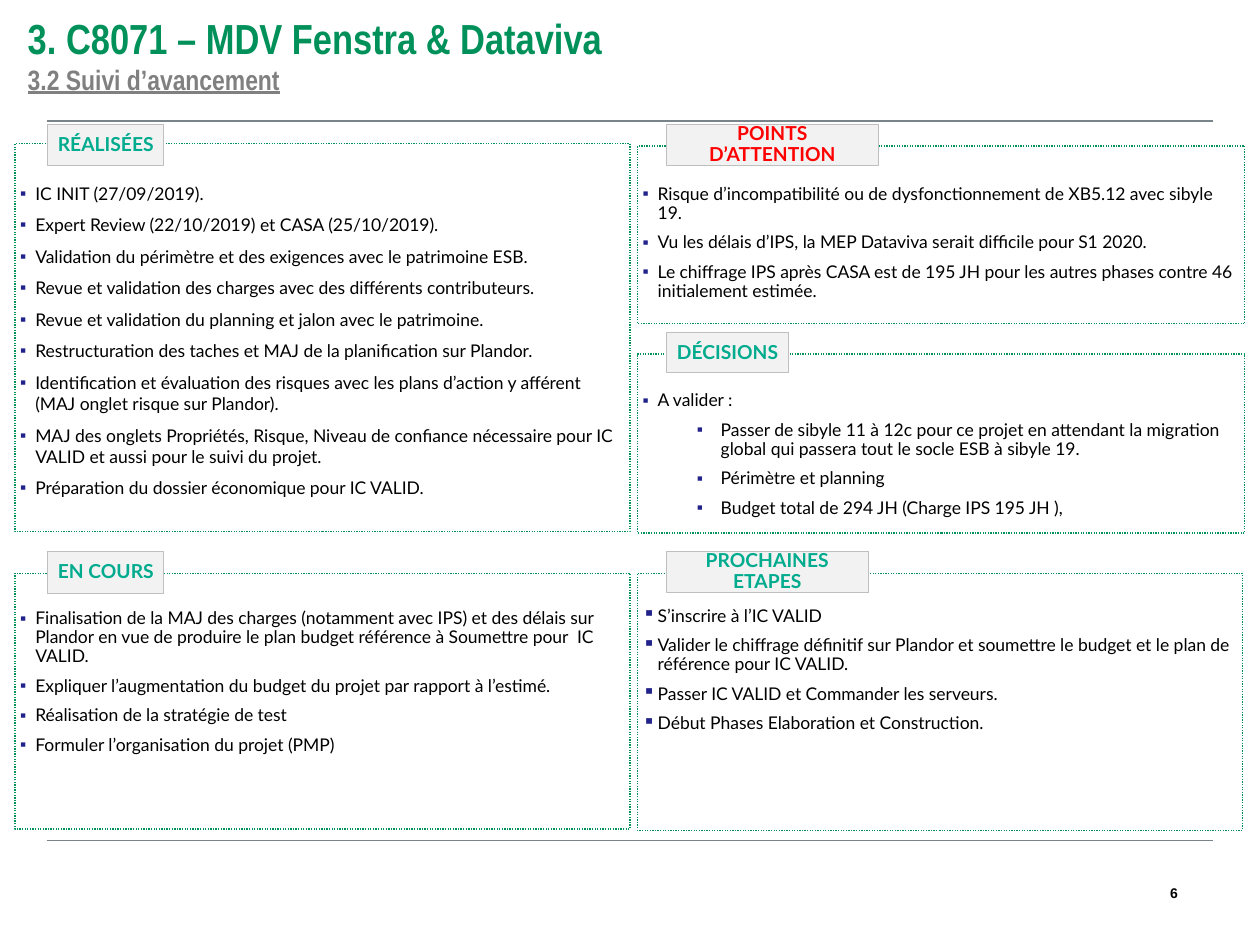
from lxml import etree
from pptx import Presentation
from pptx.dml.color import RGBColor
from pptx.enum.dml import MSO_LINE
from pptx.enum.shapes import MSO_CONNECTOR, MSO_SHAPE
from pptx.enum.text import MSO_ANCHOR, MSO_AUTO_SIZE, PP_ALIGN
from pptx.oxml.ns import qn
from pptx.util import Inches, Pt

LEFT, MID, RIGHT = PP_ALIGN.LEFT, PP_ALIGN.CENTER, PP_ALIGN.RIGHT
TOP, HALF = MSO_ANCHOR.TOP, MSO_ANCHOR.MIDDLE
DOTS, FIXED = MSO_LINE.ROUND_DOT, MSO_AUTO_SIZE.NONE
RECT, LINE = MSO_SHAPE.RECTANGLE, MSO_CONNECTOR.STRAIGHT

GREEN = RGBColor(0x00, 0x91, 0x5A)
TEAL = RGBColor(0x00, 0xAB, 0x8E)
RED = RGBColor(0xFF, 0x00, 0x00)
BLACK = RGBColor(0x00, 0x00, 0x00)
WHITE = RGBColor(0xFF, 0xFF, 0xFF)
GREY = RGBColor(0x80, 0x80, 0x80)
SLATE = RGBColor(0x78, 0x84, 0x8A)
PALE = RGBColor(0xF2, 0xF2, 0xF2)
EDGE = RGBColor(0xBF, 0xBF, 0xBF)

# Font formats
HEAD = dict(name="Arial Narrow", size=Pt(24), bold=True, color=GREEN)
SUB = dict(HEAD, size=Pt(16), underline=True, color=GREY)
BODY = dict(name="Lato", size=Pt(10), bold=False, color=BLACK)
TAG = dict(name="Lato", size=Pt(11), bold=True, color=TEAL)
PAGE = dict(name="Arial", size=Pt(8), bold=True, color=BLACK)


class Deck:
    """Current slide on a grid of 100 columns by 75 rows."""

    def __init__(self):
        self.prs = Presentation()
        self.prs.slide_width, self.prs.slide_height = Inches(10), Inches(7.5)
        self.slide = self.prs.slides.add_slide(self.prs.slide_layouts[4])
        self.shapes = self.slide.shapes
        # Every placeholder but the title takes a list
        self.free = iter([h for h in self.slide.placeholders
                          if h.placeholder_format.idx])

    def cell(self, *units):
        wide, high = self.prs.slide_width / 100, self.prs.slide_height / 75
        return [int(u * (high if i % 2 else wide))
                for i, u in enumerate(units)]

    def place(self, shape, at):
        for key, val in zip(("left", "top", "width", "height"),
                            self.cell(*at)):
            setattr(shape, key, val)

    def frame(self, shape, anchor, pads=(0, 0, 0, 0), wrap=True):
        text = shape.text_frame
        form = dict(auto_size=FIXED, word_wrap=wrap, vertical_anchor=anchor)
        sides = ("margin_left", "margin_top", "margin_right", "margin_bottom")
        form.update(zip(sides, self.cell(*pads)))
        for key, val in form.items():
            setattr(text, key, val)
        return text

    def say(self, para, words, style):
        run = para.add_run()
        run.text = words
        for key, val in style.items():
            if key == "color":
                run.font.color.rgb = val
            else:
                setattr(run.font, key, val)

    def paint(self, shape, fill, edge, width, dash=None):
        shape.fill.solid()
        shape.fill.fore_color.rgb = fill
        shape.line.color.rgb = edge
        shape.line.width = Pt(width)
        if dash:
            shape.line.dash_style = dash

    def title(self, at, main, sub):
        shape = self.shapes.title
        self.place(shape, at)
        para = self.frame(shape, HALF).paragraphs[0]
        para.alignment = LEFT
        self.say(para, main, HEAD)
        para.add_line_break()
        self.say(para, sub, SUB)

    def rule(self, row):
        line = self.shapes.add_connector(
            LINE, *self.cell(3.7, row, 96.3, row))
        line.line.color.rgb = SLATE
        line.line.width = Pt(1)
        etree.SubElement(line.element.spPr, qn("a:effectLst"))

    def bullet(self, para, left, hang):
        props = para._p.get_or_add_pPr()
        props.set("marL", str(Inches(left)))
        props.set("indent", str(-Inches(hang)))
        tint = etree.SubElement(props, qn("a:buClr"))
        etree.SubElement(tint, qn("a:srgbClr"), val="22228B")
        etree.SubElement(props, qn("a:buChar"), char="▪")

    def panel(self, at, drop, space, items):
        """List in a dotted box; nested lists go one level deeper."""
        shape = next(self.free, None) or self.shapes.add_textbox(0, 0, 0, 0)
        self.place(shape, at)
        self.paint(shape, WHITE, GREEN, 0.75, DOTS)
        text = self.frame(shape, TOP, (0.4, drop, 0.4, 0.5))
        flat = []
        for item in items:
            deep = isinstance(item, list)
            flat += [(words, deep) for words in (item if deep else [item])]
        for i, (words, deep) in enumerate(flat):
            para = text.add_paragraph() if i else text.paragraphs[0]
            form = dict(alignment=LEFT, line_spacing=space,
                        space_before=Pt(6 if i else 0), level=int(deep))
            for key, val in form.items():
                setattr(para, key, val)
            self.bullet(para, *((0.62, 0.19) if deep else (0.12, 0.12)))
            self.say(para, words, BODY)

    def tag(self, at, words, color):
        shape = self.shapes.add_shape(RECT, *self.cell(*at))
        shape.shadow.inherit = False
        self.paint(shape, PALE, EDGE, 0.5)
        para = self.frame(shape, HALF, (0.4, 0.5, 0.4, 0.5)).paragraphs[0]
        para.alignment, para.line_spacing = MID, 0.9
        self.say(para, words, dict(TAG, color=color))

    def page(self, at, words):
        shape = self.shapes.add_textbox(*self.cell(*at))
        para = self.frame(shape, HALF, wrap=False).paragraphs[0]
        para.alignment = RIGHT
        self.say(para, words, PAGE)


# Box, text drop, line spacing, list, tag box, tag, tag colour
PANELS = [
    ((1.2, 11.4, 48.8, 30.8), 3.1, 1.0, [
        "IC INIT (27/09/2019).",
        "Expert Review (22/10/2019) et CASA (25/10/2019).",
        "Validation du périmètre et des exigences avec le patrimoine ESB.",
        "Revue et validation des charges avec des différents contributeurs.",
        "Revue et validation du planning et jalon avec le patrimoine.",
        "Restructuration des taches et MAJ de la planification sur Plandor.",
        "Identification et évaluation des risques avec les plans d’action y "
        "afférent (MAJ onglet risque sur Plandor).",
        "MAJ des onglets Propriétés, Risque, Niveau de confiance nécessaire "
        "pour IC VALID et aussi pour le suivi du projet.",
        "Préparation du dossier économique pour IC VALID.",
    ], (3.8, 9.9, 9.2, 3.2), "RÉALISÉES", TEAL),
    ((50.6, 11.6, 48.2, 14.1), 3.1, 0.9, [
        "Risque d’incompatibilité ou de dysfonctionnement de XB5.12 avec "
        "sibyle 19.",
        "Vu les délais d’IPS, la MEP Dataviva serait difficile pour S1 2020.",
        "Le chiffrage IPS après CASA est de 195 JH pour les autres phases "
        "contre 46 initialement estimée.",
    ], (52.9, 9.9, 16.8, 3.2), "POINTS D’ATTENTION", RED),
    ((50.6, 28.1, 48.2, 14.2), 3.0, 0.9, [
        "A valider :",
        ["Passer de sibyle 11 à 12c pour ce projet en attendant la migration "
         "global qui passera tout le socle ESB à sibyle 19.",
         "Périmètre et planning",
         "Budget total de 294 JH (Charge IPS 195 JH ),"],
    ], (52.9, 26.4, 9.7, 3.2), "DÉCISIONS", TEAL),
    ((1.2, 45.5, 48.8, 20.3), 2.9, 0.9, [
        "Finalisation de la MAJ des charges (notamment avec IPS) et des "
        "délais sur Plandor en vue de produire le plan budget référence à "
        "Soumettre pour  IC VALID.",
        "Expliquer l’augmentation du budget du projet par rapport à "
        "l’estimé.",
        "Réalisation de la stratégie de test",
        "Formuler l’organisation du projet (PMP)",
    ], (3.8, 43.8, 9.2, 3.3), "EN COURS", TEAL),
    ((50.6, 45.5, 48, 20.4), 2.7, 0.9, [
        "S’inscrire à l’IC VALID",
        "Valider le chiffrage définitif sur Plandor et soumettre le budget "
        "et le plan de référence pour IC VALID.",
        "Passer IC VALID et Commander les serveurs.",
        "Début Phases Elaboration et Construction.",
    ], (52.9, 43.8, 16, 3.2), "PROCHAINES ETAPES", TEAL),
]


def main():
    deck = Deck()
    # Title, rules and page number
    deck.title((2.2, 0.2, 94.3, 8.2), "3. C8071 – MDV Fenstra & Dataviva",
               "3.2 Suivi d’avancement")
    for row in (9.6, 66.7):
        deck.rule(row)
    deck.page((91.5, 69.9, 2, 2), "6")
    # Panels with their tags
    for box, drop, space, items, *label in PANELS:
        deck.panel(box, drop, space, items)
        deck.tag(*label)
    deck.prs.save("out.pptx")


if __name__ == "__main__":
    main()
